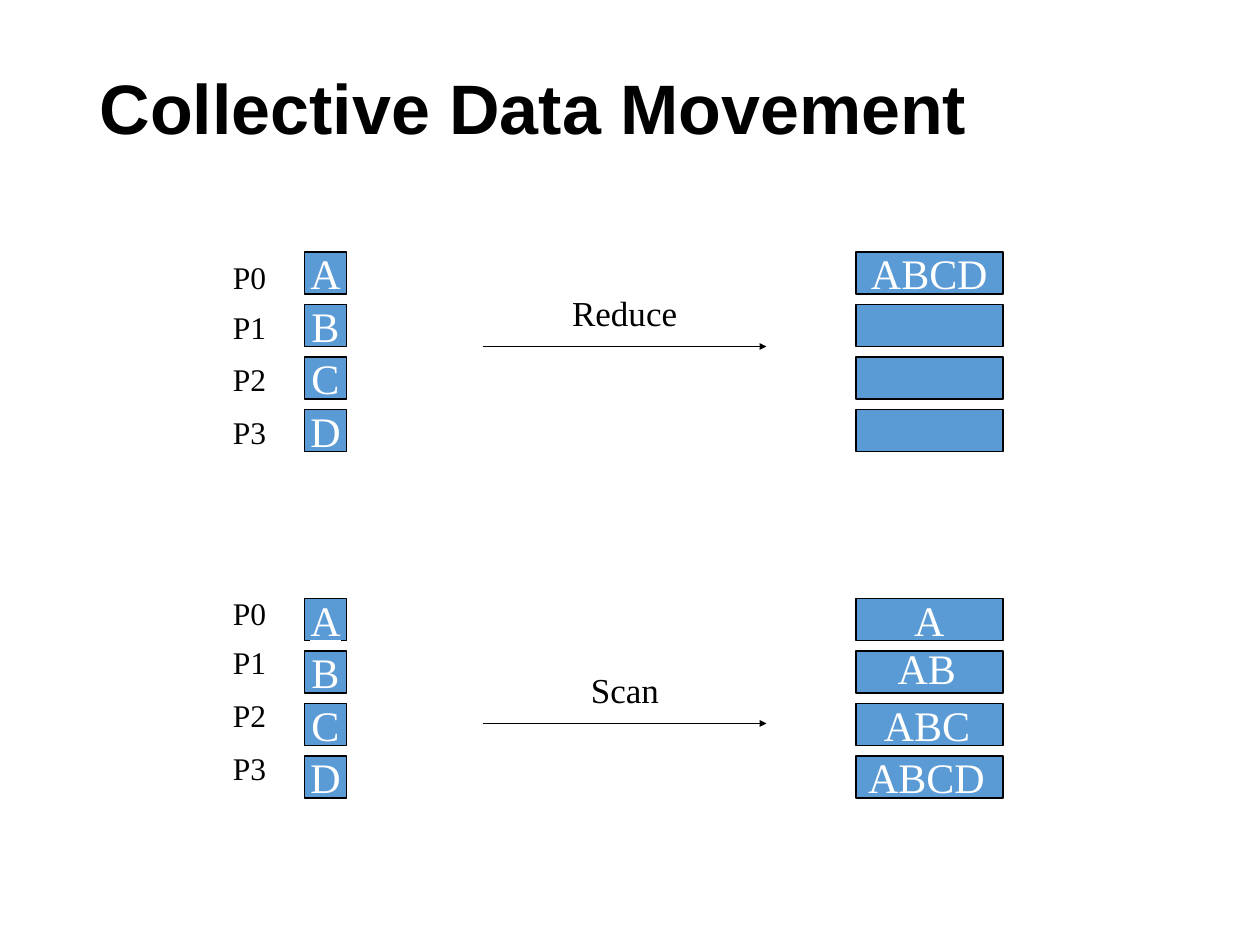
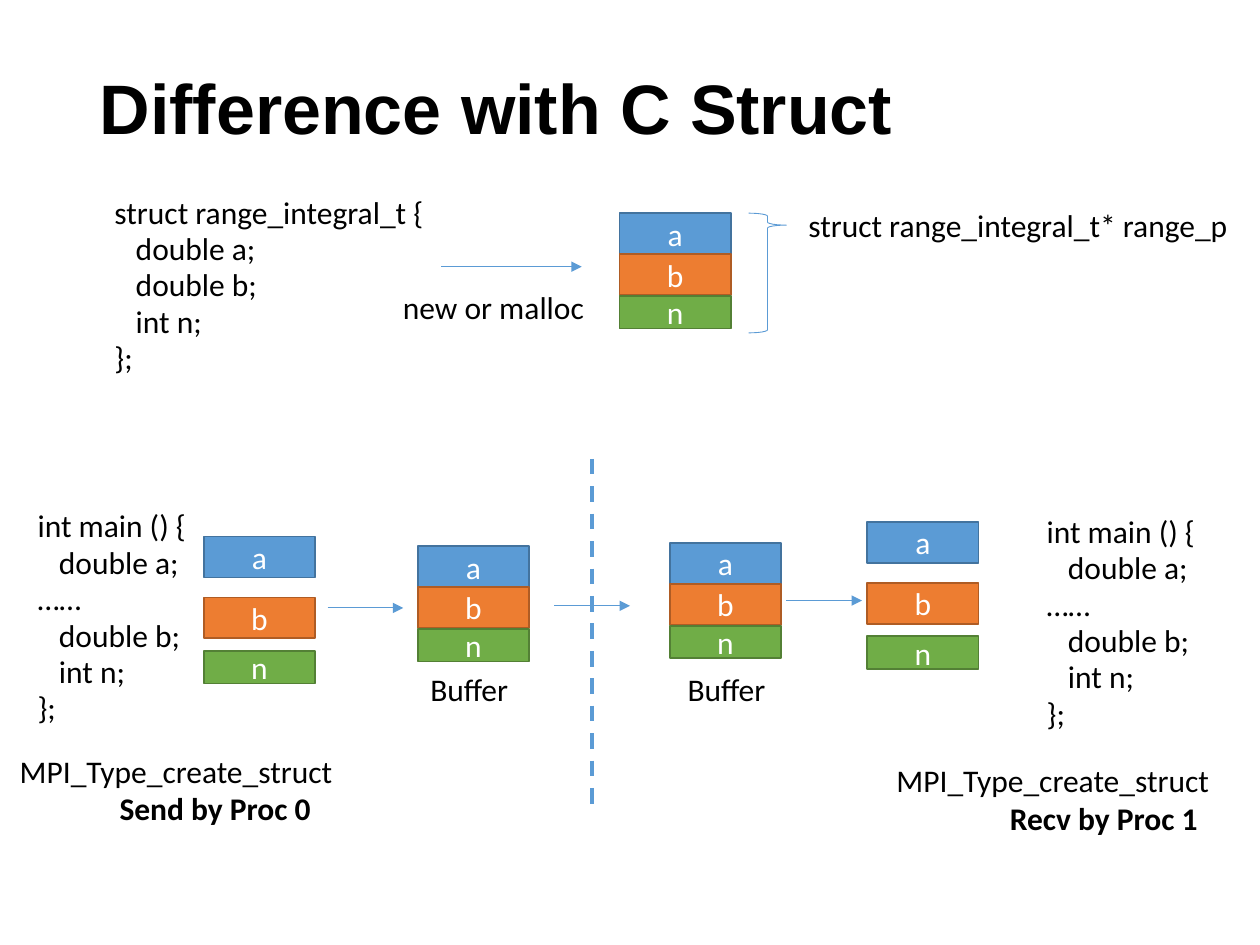
from dataclasses import dataclass

from lxml.etree import SubElement
from pptx import Presentation
from pptx.dml.color import RGBColor
from pptx.enum.dml import MSO_LINE
from pptx.enum.shapes import MSO_CONNECTOR, MSO_SHAPE
from pptx.enum.text import MSO_ANCHOR, MSO_AUTO_SIZE, PP_ALIGN
from pptx.oxml.ns import qn
from pptx.util import Pt

EMU_PER_PX = 7620  # 120 px to the inch


@dataclass(frozen=True)
class Theme:
    title_font: str = "Arial"
    body_font: str = "Calibri"
    diagram_font: str = "Times New Roman"
    black: str = "000000"
    white: str = "FFFFFF"
    blue: str = "5B9BD5"
    blue_edge: str = "43739E"
    orange: str = "ED7D31"
    orange_edge: str = "AF5C24"
    green: str = "70AD47"
    green_edge: str = "538035"
    title_size: int = 40
    cell_size: int = 24
    caption_size: int = 20
    text_size: int = 18
    thin: float = 0.5
    normal: float = 1
    thick: float = 2.25


THEME = Theme()


def px(*lengths):
    return [length * EMU_PER_PX for length in lengths]


def rgb(color):
    return RGBColor.from_string(color)


class SlideBuilder:
    """Holds the theme and the slide being built."""

    def __init__(self, presentation, theme):
        self.presentation = presentation
        self.theme = theme
        self.slide = None

    def start(self, layout_index, title):
        layout = self.presentation.slide_layouts[layout_index]
        self.slide = self.presentation.slides.add_slide(layout)
        shape = self.slide.shapes.title
        self.place(shape, 83, 20, 1034, 174)
        frame = shape.text_frame
        frame.auto_size = MSO_AUTO_SIZE.NONE
        frame.vertical_anchor = MSO_ANCHOR.MIDDLE
        paragraph = frame.paragraphs[0]
        paragraph.alignment = PP_ALIGN.LEFT
        paragraph.line_spacing = 0.9
        self.run(paragraph, title, self.theme.title_font, self.theme.title_size, bold=True)

    def place(self, shape, left, top, width, height):
        shape.left, shape.top, shape.width, shape.height = px(left, top, width, height)

    def run(self, paragraph, text, font, size, color=None, bold=False, underline=None):
        run = paragraph.add_run()
        run.text = text
        run.font.name = font
        run.font.size = Pt(size)
        run.font.bold = bold
        run.font.underline = underline
        run.font.color.rgb = rgb(color or self.theme.black)

    def label(self, text, left, top, width, height, font=None, size=None, color=None):
        box = self.slide.shapes.add_textbox(*px(left, top, width, height))
        frame = box.text_frame
        frame.word_wrap = False
        frame.auto_size = MSO_AUTO_SIZE.SHAPE_TO_FIT_TEXT
        self.run(frame.paragraphs[0], text, font or self.theme.body_font,
                 size or self.theme.text_size, color)
        return frame

    def role(self, text, indent, left, top):
        frame = self.label("MPI_Type_create_struct", left, top, 325, 85)
        paragraph = frame.add_paragraph()
        paragraph._p.get_or_add_pPr().set("marL", str(indent * EMU_PER_PX))
        self.run(paragraph, text, self.theme.body_font, self.theme.text_size, bold=True)

    def fill_code(self, shape, lines):
        frame = shape.text_frame
        frame.word_wrap = True
        frame.auto_size = MSO_AUTO_SIZE.NONE
        for index, line in enumerate(lines):
            paragraph = frame.add_paragraph() if index else frame.paragraphs[0]
            properties = paragraph._p.get_or_add_pPr()
            properties.set("marL", "0")
            properties.set("indent", "0")
            SubElement(properties, qn("a:buNone"))
            paragraph.line_spacing = 0.5
            paragraph.space_before = Pt(10 if index else 0)
            self.run(paragraph, line, self.theme.body_font, self.theme.text_size)

    def body_code(self, lines, *box):
        shape = self.slide.placeholders[1]
        self.place(shape, *box)
        self.fill_code(shape, lines)

    def code(self, lines, *box):
        self.fill_code(self.slide.shapes.add_textbox(*px(*box)), lines)

    def cell(self, text, left, top, width, height, fill, edge, font, size,
             wrap=True, underline=None):
        shape = self.slide.shapes.add_shape(MSO_SHAPE.RECTANGLE, *px(left, top, width, height))
        shape.shadow.inherit = False
        shape.fill.solid()
        shape.fill.fore_color.rgb = rgb(fill)
        shape.line.color.rgb = rgb(edge)
        shape.line.width = Pt(self.theme.normal)
        if text:
            frame = shape.text_frame
            frame.word_wrap = wrap
            frame.vertical_anchor = MSO_ANCHOR.MIDDLE
            paragraph = frame.paragraphs[0]
            paragraph.alignment = PP_ALIGN.CENTER
            self.run(paragraph, text, font, size, self.theme.white, underline=underline)

    def data_cell(self, text, left, top, width, underline=None):
        self.cell(text, left, top, width, 40, self.theme.blue, self.theme.black,
                  self.theme.diagram_font, self.theme.cell_size, False, underline)

    def members(self, left, top, offsets):
        theme = self.theme
        styles = (("a", 39, theme.blue, theme.blue_edge),
                  ("b", 39, theme.orange, theme.orange_edge),
                  ("n", 31, theme.green, theme.green_edge))
        for (name, height, fill, edge), offset in zip(styles, offsets):
            self.cell(name, left, top + offset, 106, height, fill, edge,
                      theme.body_font, theme.text_size)

    def line(self, start, end, color, width, head="med"):
        connector = self.slide.shapes.add_connector(
            MSO_CONNECTOR.STRAIGHT, *px(*start, *end))
        connector.line.color.rgb = rgb(color)
        connector.line.width = Pt(width)
        if head:
            SubElement(connector.line._get_or_add_ln(), qn("a:tailEnd"),
                       type="triangle", w=head, len=head)
        else:
            connector.line.dash_style = MSO_LINE.DASH
        SubElement(connector._element.spPr, qn("a:effectLst"))

    def brace(self, left, top, width, height):
        shape = self.slide.shapes.add_shape(MSO_SHAPE.RIGHT_BRACE, *px(left, top, width, height))
        shape.shadow.inherit = False
        shape.adjustments[0] = 0.08
        shape.adjustments[1] = 0.1
        shape.fill.background()
        shape.line.color.rgb = rgb(self.theme.blue)
        shape.line.width = Pt(self.theme.thin)


def build_collectives(builder):
    theme = builder.theme
    row_pitch = 50
    builder.start(5, "Collective Data Movement")

    # Process names, source data and result bars of both operations
    for names_top, cells_top, results, underlined in (
            (240, 240, ("ABCD", "", "", ""), ""),
            (560, 570, ("A", "", "", ""), "A")):
        for process, offset in enumerate((0, 47, 97, 147)):
            builder.label(f"P{process}", 210, names_top + offset, 56, 48, theme.diagram_font)
        for row, (item, result) in enumerate(zip("ABCD", results)):
            top = cells_top + row * row_pitch
            builder.data_cell(item, 290, top, 40, item == underlined or None)
            builder.data_cell(result, 815, top, 140)

    # Partial results of the scan
    for text, left, top, width in (("AB", 843, 606, 84), ("ABC", 830, 660, 111),
                                   ("ABCD", 815, 710, 140)):
        builder.label(text, left, top, width, 60, theme.diagram_font,
                      theme.cell_size, theme.white)

    # Operation arrows
    for text, left, width, arrow_top in (("Reduce", 533, 124, 330), ("Scan", 551, 89, 689)):
        builder.line((460, arrow_top), (730, arrow_top), theme.black, theme.normal, head="sm")
        builder.label(text, left, arrow_top - 58, width, 52,
                      theme.diagram_font, theme.caption_size)


def build_struct(builder):
    theme = builder.theme
    stacked, spread = (0, 39, 79), (0, 58, 109)
    declarations = ["   double a;", "   double b;", "   int n;", "};"]
    main_code = ["int main () {", declarations[0], "……", *declarations[1:]]
    builder.start(1, "Difference with C Struct")

    # Struct allocated in one block
    builder.body_code(["struct range_integral_t {", *declarations], 97, 193, 359, 220)
    builder.members(590, 203, stacked)
    builder.label("new or malloc", 372, 268, 199, 48)
    builder.brace(713, 203, 36, 114)
    builder.label("struct range_integral_t* range_p", 758, 190, 428, 48)

    # Sender and receiver
    builder.code(main_code, 24, 492, 359, 220)
    builder.code(main_code, 985, 497, 200, 220)
    builder.role("Send by Proc 0", 95, 7, 710)
    builder.role("Recv by Proc 1", 108, 842, 719)
    for left, top, offsets in ((194, 511, spread), (398, 520, stacked),
                               (638, 517, stacked), (826, 497, spread)):
        builder.members(left, top, offsets)
    for left in (398, 643):
        builder.label("Buffer", left, 632, 100, 48)

    # Data flow and the border between the processes
    for left, top, length in ((420, 254, 134), (312, 579, 72), (528, 577, 72), (749, 572, 72)):
        builder.line((left, top), (left + length, top), theme.blue, theme.thin)
    builder.line((564, 437), (564, 773), theme.blue, theme.thick, head=None)


def main():
    presentation = Presentation()
    presentation.slide_width, presentation.slide_height = px(1200, 900)
    builder = SlideBuilder(presentation, THEME)
    build_collectives(builder)
    build_struct(builder)
    presentation.save("out.pptx")


if __name__ == "__main__":
    main()
